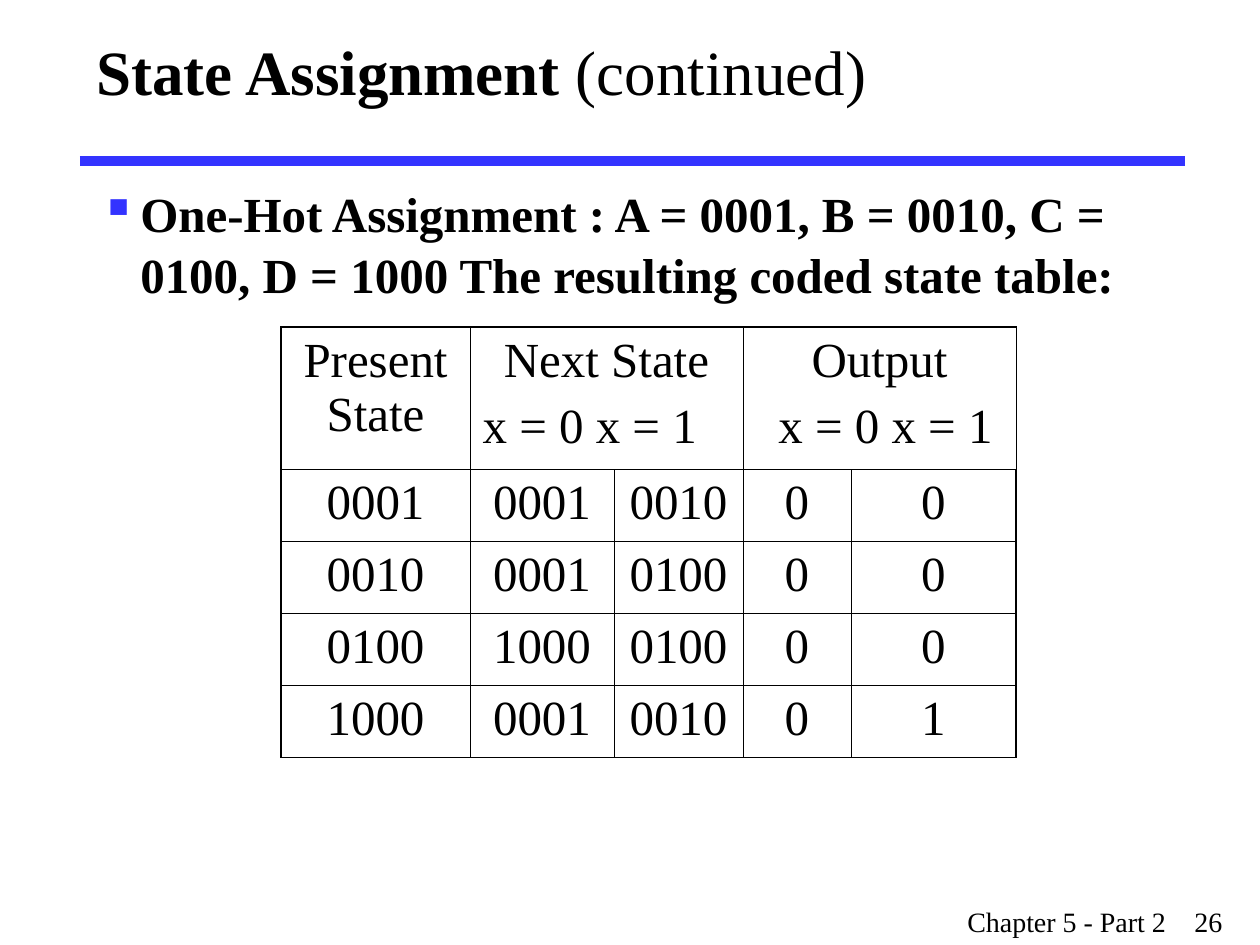
from dataclasses import dataclass

from lxml.etree import SubElement
from pptx import Presentation
from pptx.dml.color import RGBColor
from pptx.enum.shapes import MSO_CONNECTOR
from pptx.enum.text import MSO_ANCHOR, PP_ALIGN
from pptx.oxml.ns import qn
from pptx.util import Pt

PX = 914400 / 126
FONT = "Times New Roman"
BLACK = RGBColor(0x00, 0x00, 0x00)
BLUE = RGBColor(0x33, 0x33, 0xFF)
THIN, THICK = 0.45, 1.08


@dataclass
class Run:
    text: str
    size: int = 28
    bold: bool = False


@dataclass
class Line:
    text: str
    align: PP_ALIGN = PP_ALIGN.CENTER
    indent: int = 0


@dataclass
class Header:
    col: int
    span: int
    lines: list[Line]


HEADERS = [
    Header(0, 1, [Line("Present State")]),
    Header(1, 2, [Line("Next State"), Line("x = 0 x = 1", PP_ALIGN.LEFT)]),
    Header(3, 2, [Line("Output"), Line("x = 0 x = 1", indent=12)]),
]
STATES = [
    ["0001", "0001", "0010", "0", "0"],
    ["0010", "0001", "0100", "0", "0"],
    ["0100", "1000", "0100", "0", "0"],
    ["1000", "0001", "0010", "0", "1"],
]
COL_WIDTHS = [189, 144, 129, 108, 165]
ROW_HEIGHTS = [142] + [72] * len(STATES)


def emu(px: int) -> int:
    return round(px * PX)


def add_run(p, run: Run) -> None:
    r = p.add_run()
    r.text = run.text
    r.font.name = FONT
    r.font.size = Pt(run.size)
    r.font.bold = run.bold
    r.font.color.rgb = BLACK


def add_text(s, x: int, y: int, w: int, h: int, runs: list[Run], anchor=MSO_ANCHOR.TOP):
    """Add a one-paragraph text box and return the paragraph."""
    tf = s.shapes.add_textbox(emu(x), emu(y), emu(w), emu(h)).text_frame
    tf.word_wrap = True
    tf.vertical_anchor = anchor
    p = tf.paragraphs[0]
    for run in runs:
        add_run(p, run)
    return p


def set_bullet(p, char: str, indent: int) -> None:
    pPr = p._p.get_or_add_pPr()
    pPr.set("marL", str(emu(indent)))
    pPr.set("indent", str(-emu(indent)))
    SubElement(SubElement(pPr, qn("a:buClr")), qn("a:srgbClr"), val=str(BLUE))
    SubElement(pPr, qn("a:buChar"), char=char)


def set_tab(p, pos: int) -> None:
    tabs = SubElement(p._p.get_or_add_pPr(), qn("a:tabLst"))
    SubElement(tabs, qn("a:tab"), pos=str(emu(pos)), algn="l")


def set_borders(cell, row: int, col: int) -> None:
    """Thick on the outer edge of the table, thin inside."""
    outer = {
        "a:lnL": col == 0,
        "a:lnR": col == len(COL_WIDTHS) - 1,
        "a:lnT": row == 0,
        "a:lnB": row == len(ROW_HEIGHTS) - 1,
    }
    tcPr = cell._tc.get_or_add_tcPr()
    for tag, is_outer in outer.items():
        ln = SubElement(tcPr, qn(tag), w=str(Pt(THICK if is_outer else THIN)))
        SubElement(SubElement(ln, qn("a:solidFill")), qn("a:srgbClr"), val=str(BLACK))


def fill_cell(cell, lines: list[Line]) -> None:
    tf = cell.text_frame
    for i, line in enumerate(lines):
        p = tf.add_paragraph() if i else tf.paragraphs[0]
        p.alignment = line.align
        if i:
            p.space_before = Pt(7)
        if line.indent:
            p._p.get_or_add_pPr().set("marL", str(emu(line.indent)))
        add_run(p, Run(line.text))


def add_state_table(s, x: int, y: int) -> None:
    table = s.shapes.add_table(
        len(ROW_HEIGHTS), len(COL_WIDTHS), emu(x), emu(y),
        emu(sum(COL_WIDTHS)), emu(sum(ROW_HEIGHTS)),
    ).table
    table.first_row = table.horz_banding = False
    for column, width in zip(table.columns, COL_WIDTHS):
        column.width = emu(width)
    for i, height in enumerate(ROW_HEIGHTS):
        table.rows[i].height = emu(height)
        for j in range(len(COL_WIDTHS)):
            cell = table.cell(i, j)
            set_borders(cell, i, j)
            cell.fill.background()
    for header in HEADERS:
        cell = table.cell(0, header.col)
        if header.span > 1:
            cell.merge(table.cell(0, header.col + header.span - 1))
        fill_cell(cell, header.lines)
    for i, state in enumerate(STATES, start=1):
        for j, value in enumerate(state):
            fill_cell(table.cell(i, j), [Line(value)])


def add_rule(s, x1: int, x2: int, y: int) -> None:
    rule = s.shapes.add_connector(MSO_CONNECTOR.STRAIGHT, emu(x1), emu(y), emu(x2), emu(y))
    rule.line.color.rgb = BLUE
    rule.line.width = Pt(6)
    SubElement(rule._element.spPr, qn("a:effectLst"))


def main() -> None:
    prs = Presentation()
    prs.slide_width, prs.slide_height = emu(1260), emu(945)
    s = prs.slides.add_slide(prs.slide_layouts[6])

    add_rule(s, 80, 1185, 161)
    footer = add_text(s, 955, 898, 305, 47, [Run("Chapter 5 - Part 2\t26", 16)])
    set_tab(footer, 227)
    body = add_text(s, 88, 174, 1071, 246, [Run(
        "One-Hot Assignment : A = 0001, B = 0010, C = 0100, D = 1000 "
        "The resulting coded state table:", bold=True)])
    set_bullet(body, "▪", 40)
    body.line_spacing = 1.05
    add_text(s, 84, 0, 1176, 141, [
        Run("State Assignment ", 36, True), Run("(continued)", 36),
    ], MSO_ANCHOR.MIDDLE)
    add_state_table(s, 281, 327)

    prs.save("out.pptx")


if __name__ == "__main__":
    main()
